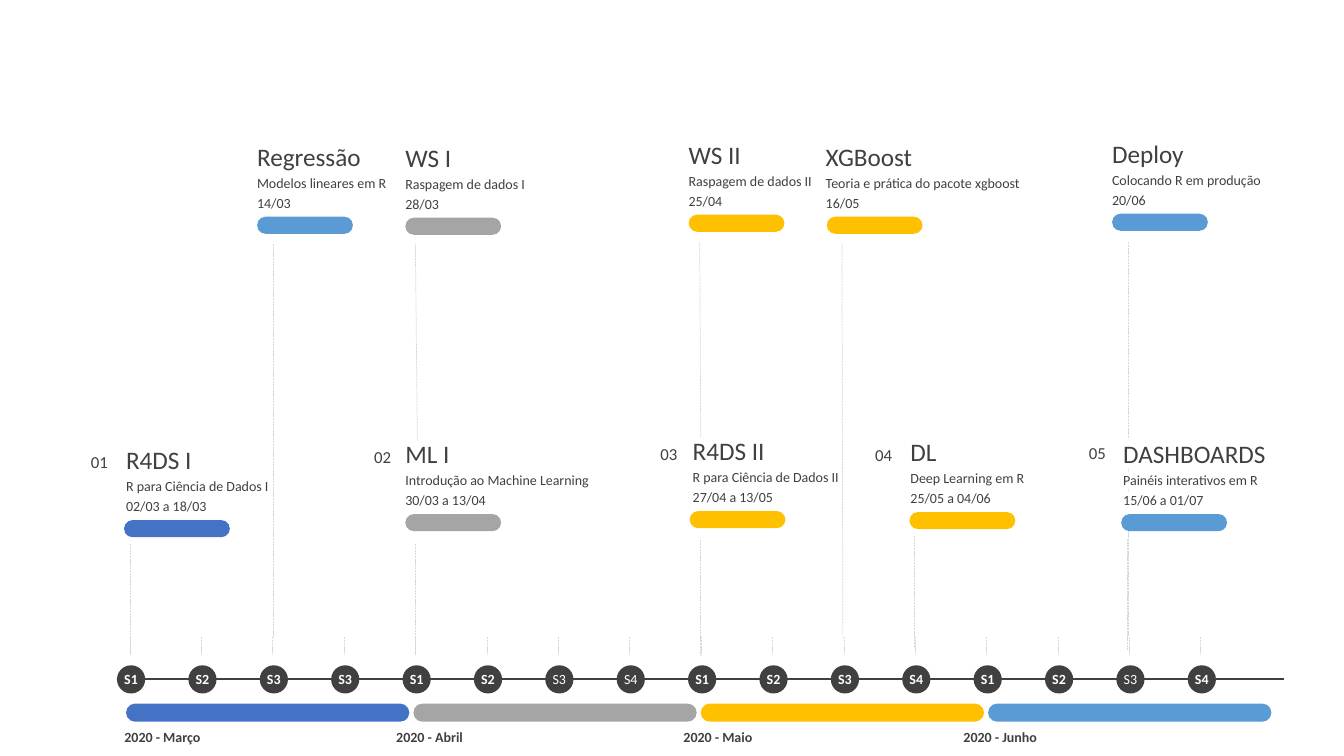
from collections import namedtuple
from dataclasses import dataclass

from lxml import etree
from pptx import Presentation
from pptx import util as u
from pptx.dml.color import RGBColor
from pptx.enum import dml, shapes, text
from pptx.oxml.ns import qn

PX = 9144


@dataclass(frozen=True)
class Theme:
    font: str = "Calibri"
    dark: str = "404040"
    white: str = "FFFFFF"
    guide: str = "D9D9D9"
    navy: str = "4472C4"
    gray: str = "A5A5A5"
    gold: str = "FFC000"
    sky: str = "5B9BD5"
    title_size: int = 18
    number_size: int = 12
    body_size: int = 10
    axis_width: float = 1.25
    guide_width: float = 0.5


THEME = Theme()
Box = namedtuple("Box", "left top width height")
Month = namedtuple("Month", "name name_left colour weeks")
Course = namedtuple("Course", "left top title detail dates colour bar_left bar_width")

MONTHS = [
    Month("2020 - Março", 117, THEME.navy, [("S1", True), ("S2", True), ("S3", True), ("S3", True)]),
    Month("2020 - Abril", 382, THEME.gray, [("S1", True), ("S2", True), ("S3", False), ("S4", False)]),
    Month("2020 - Maio", 668, THEME.gold, [("S1", True), ("S2", True), ("S3", True), ("S4", True)]),
    Month("2020 - Junho", 948, THEME.sky, [("S1", True), ("S2", True), ("S3", False), ("S4", True)]),
]

WORKSHOPS = [
    Course(255, 140, "Regressão", "Modelos lineares em R", "14/03", THEME.sky, 255, 95),
    Course(402, 141, "WS I", "Raspagem de dados I", "28/03", THEME.gray, 402, 95),
    Course(683, 138, "WS II", "Raspagem de dados II", "25/04", THEME.gold, 683, 95),
    Course(819, 140, "XGBoost", "Teoria e prática do pacote xgboost", "16/05", THEME.gold, 820, 95),
    Course(1103, 137, "Deploy", "Colocando R em produção", "20/06", THEME.sky, 1103, 95),
]

MAIN_COURSES = [
    (Course(125, 441, "R4DS I", "R para Ciência de Dados I", "02/03 a 18/03", THEME.navy, 123, 105),
     "01", 80, 448),
    (Course(402, 435, "ML I", "Introdução ao Machine Learning", "30/03 a 13/04", THEME.gray, 402, 95),
     "02", 361, 443),
    (Course(687, 432, "R4DS II", "R para Ciência de Dados II", "27/04 a 13/05", THEME.gold, 684, 95),
     "03", 645, 440),
    (Course(903, 433, "DL", "Deep Learning em R", "25/05 a 04/06", THEME.gold, 902, 105),
     "04", 858, 441),
    (Course(1114, 435, "DASHBOARDS", "Painéis interativos em R", "15/06 a 01/07", THEME.sky, 1112, 105),
     "05", 1070, 439),
]

GUIDES = [
    (271, 242, 271, 633), (412, 242, 414, 437), (694, 240, 695, 434),
    (835, 242, 836, 633), (1119, 240, 1119, 631),
    (129, 540, 129, 650), (412, 540, 412, 650), (695, 536, 695, 650),
    (907, 532, 907, 642), (1118, 535, 1118, 645),
]


def emu(*lengths):
    return [u.Emu(round(length * PX)) for length in lengths]


def rgb(colour):
    return RGBColor.from_string(colour)


def write_text(shape, content, size=THEME.body_size, colour=THEME.dark, bold=False,
               align=text.PP_ALIGN.LEFT, anchor=text.MSO_ANCHOR.TOP, wrap=True):
    frame = shape.text_frame
    frame.margin_left = frame.margin_top = frame.margin_right = frame.margin_bottom = 0
    frame.word_wrap = wrap
    frame.vertical_anchor = anchor
    paragraph = frame.paragraphs[0]
    paragraph.alignment = align
    run = paragraph.add_run()
    run.text = content
    run.font.name = THEME.font
    run.font.size = u.Pt(size)
    run.font.bold = bold
    run.font.color.rgb = rgb(colour)


def add_label(slide, box, content, fill=None, **text_format):
    label = slide.shapes.add_textbox(*emu(*box))
    if fill:
        label.fill.solid()
        label.fill.fore_color.rgb = rgb(fill)
    write_text(label, content, **text_format)


def add_filled(slide, kind, box, colour):
    shape = slide.shapes.add_shape(kind, *emu(*box))
    shape.shadow.inherit = False
    shape.fill.solid()
    shape.fill.fore_color.rgb = rgb(colour)
    shape.line.fill.background()
    return shape


def add_pill(slide, box, colour):
    pill = add_filled(slide, shapes.MSO_SHAPE.ROUNDED_RECTANGLE, box, colour)
    pill.adjustments[0] = 0.5


def add_line(slide, ends, colour=THEME.guide, width=THEME.guide_width, dashed=True):
    line = slide.shapes.add_connector(shapes.MSO_CONNECTOR.STRAIGHT, *emu(*ends))
    line.line.color.rgb = rgb(colour)
    line.line.width = u.Pt(width)
    if dashed:
        line.line.dash_style = dml.MSO_LINE.SQUARE_DOT
    etree.SubElement(line._element.spPr, qn("a:effectLst"))


def add_course(slide, box, course, fill=None):
    left, top, width, height = box
    rows = [
        (course.title, 0, 30, THEME.title_size),
        (course.detail, 33, 17, THEME.body_size),
        (course.dates, 53, 26, THEME.body_size),
    ]
    for content, offset, row_height, size in rows:
        add_label(slide, Box(left, top + offset, width, row_height), content, fill=fill, size=size)
    add_pill(slide, Box(course.bar_left, top + height - 17, course.bar_width, 17), course.colour)


def add_timeline(slide, box):
    add_line(slide, (box.left + box.width, box.top + 42, box.left + 17, box.top + 42),
             colour=THEME.dark, width=THEME.axis_width, dashed=False)
    weeks = [week for month in MONTHS for week in month.weeks]
    for index, (name, bold) in enumerate(weeks):
        left = box.left + index * 1062 / 15
        add_line(slide, (left + 13, box.top, left + 13, box.top + 18))
        stop = add_filled(slide, shapes.MSO_SHAPE.OVAL, Box(left, box.top + 28, 28, 28), THEME.dark)
        write_text(stop, name, colour=THEME.white, bold=bold, align=text.PP_ALIGN.CENTER,
                   anchor=text.MSO_ANCHOR.MIDDLE, wrap=False)
    for index, month in enumerate(MONTHS):
        add_pill(slide, Box(box.left + 9 + index * 285, box.top + 66, 281, 18), month.colour)
        add_label(slide, Box(month.name_left, box.top + 91, 88, 18), month.name,
                  bold=True, align=text.PP_ALIGN.CENTER)


def main():
    presentation = Presentation()
    presentation.slide_width, presentation.slide_height = emu(1333, 750)
    slide = presentation.slides.add_slide(presentation.slide_layouts[6])
    for ends in GUIDES:
        add_line(slide, ends)
    add_timeline(slide, Box(116, 632, 1158, 109))
    for course in WORKSHOPS:
        add_course(slide, Box(course.left, course.top, 196, 92), course)
    for course, number, number_left, number_top in MAIN_COURSES:
        fill = THEME.white if course.title == "DASHBOARDS" else None
        width = 156 if fill else 198
        add_course(slide, Box(course.left, course.top, width, 92), course, fill=fill)
        add_label(slide, Box(number_left, number_top, 37, 20), number,
                  size=THEME.number_size, align=text.PP_ALIGN.CENTER, wrap=False)
    presentation.save("out.pptx")


if __name__ == "__main__":
    main()
